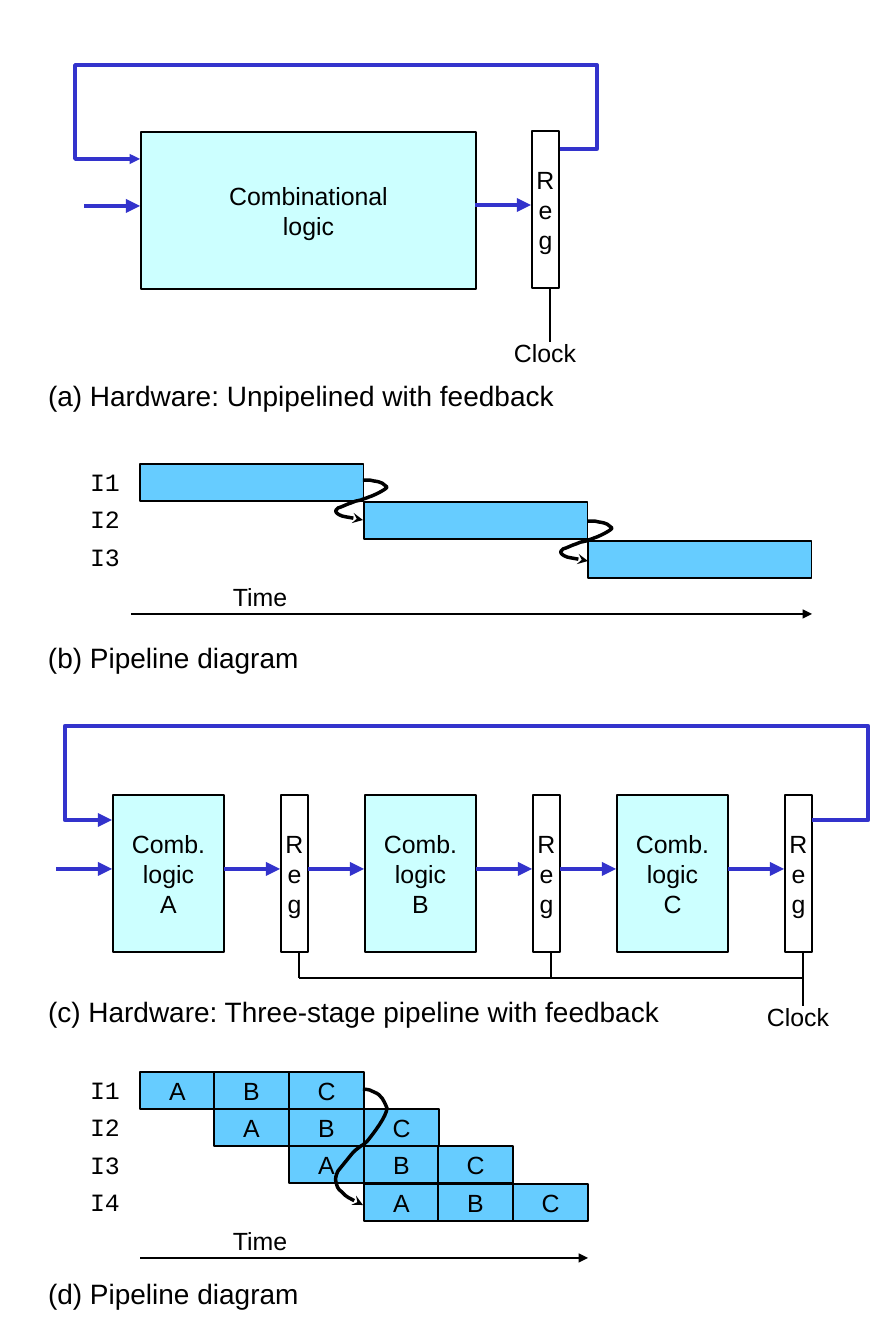
"""Draw unpipelined and three-stage pipelined hardware with feedback."""
from lxml import etree
from pptx import Presentation, util as u
from pptx.dml.color import RGBColor
from pptx.enum import shapes, text
from pptx.oxml.ns import qn

PX = u.Inches(1) / 112
BLACK, WHITE, BLUE = "000000", "FFFFFF", "3333CC"
LOGIC, BAR = "CCFFFF", "66CCFF"
HOOK = [(0, 0), (9, 1), (6, 1), (11, 3), (19, 6), (21, 12), (24, 19),
        (24, 27), (10, 45), (6, 50), (4, 53), (0, 56), (-2, 57),
        (-6, 60), (-9, 62), (-12, 66), (-16, 71), (-21, 77), (-25, 82),
        (-27, 86), (-28, 90), (-27, 93), (-26, 96), (-26, 100), (-21, 103),
        (-17, 108), (-4, 114), (0, 116)]
rgb = RGBColor.from_string

prs = Presentation()
prs.slide_width, prs.slide_height = u.Inches(8), u.Inches(12)
slide = prs.slides.add_slide(prs.slide_layouts[6])


def box(x, y, w, h, words="", fill=None, edge=0, align="CENTER", size=16, face="Arial"):
    """Add a filled rectangle, or a text box when there is no fill."""
    place = [round(v * PX) for v in (x, y, w, h)]
    if fill:
        s = slide.shapes.add_shape(shapes.MSO_SHAPE.RECTANGLE, *place)
        s.shadow.inherit = False
        s.fill.solid()
        s.fill.fore_color.rgb = rgb(fill)
        if edge:
            s.line.color.rgb = rgb(BLACK)
            s.line.width = u.Pt(edge)
        else:
            s.line.fill.background()
    else:
        s = slide.shapes.add_textbox(*place)
    tf = s.text_frame
    tf.word_wrap = False
    tf.vertical_anchor = text.MSO_ANCHOR.MIDDLE if fill else text.MSO_ANCHOR.TOP
    tf.text = words
    for p in tf.paragraphs:
        p.alignment = text.PP_ALIGN[align]
        for r in p.runs:
            for key, value in {"size": u.Pt(size), "name": face}.items():
                setattr(r.font, key, value)
            r.font.color.rgb = rgb(BLACK)


def line(points, color=BLACK, width=1, tail=None, curved=False):
    """Add a connector through two points, or an open outline through more."""
    if len(points) == 2:
        ends = [round(v * PX) for point in points for v in point]
        s = slide.shapes.add_connector(shapes.MSO_CONNECTOR.STRAIGHT, *ends)
    else:
        builder = slide.shapes.build_freeform(*points[0], scale=PX)
        builder.add_line_segments(points[1:], close=False)
        s = builder.convert_to_shape()
        s.fill.background()
    s.line.color.rgb = rgb(color)
    s.line.width = u.Pt(width)
    props = s._element.spPr
    if tail:
        etree.SubElement(props.find(qn("a:ln")), qn("a:tailEnd"), type=tail)
    etree.SubElement(props, qn("a:effectLst"))
    if curved:
        outline = next(props.iter(qn("a:path")))
        for i, step in enumerate(outline.findall(qn("a:lnTo"))):
            if i % 3 == 0:
                curve = etree.SubElement(outline, qn("a:cubicBezTo"))
            curve.append(step[0])
            outline.remove(step)


for y, width, caption in [(373, 541, "(a) Hardware: Unpipelined with feedback"),
                          (635, 283, "(b) Pipeline diagram"),
                          (989, 647, "(c) Hardware: Three-stage pipeline with feedback"),
                          (1271, 276, "(d) Pipeline diagram")]:
    box(37, y, width, 45, caption, align="LEFT", size=18)

for x, y in [(485, 332), (738, 996)]:
    box(x, y, 120, 40, "Clock")

for top, count in [(463, 3), (1071, 4)]:
    for i in range(count):
        box(28, top + 75 * i // 2, 103, 37, f"I{i + 1}", WHITE,
            align="RIGHT", face="Courier New")

for left, right, y in [(131, 812, 614), (140, 588, 1258)]:
    box(222, y - 38, 100, 40, "Time", align="LEFT")
    line([(left, y), (right, y)], tail="triangle")

box(141, 132, 335, 157, "Combinational\nlogic", LOGIC, 1)
box(532, 131, 27, 157, "R\ne\ng", WHITE, 1)
line([(84, 206), (140, 206)], BLUE, 3, "triangle")
line([(475, 205), (531, 205)], BLUE, 3, "triangle")
line([(550, 289), (550, 342)])
line([(560, 149), (597, 149), (597, 65), (75, 65), (75, 159), (140, 159)],
     BLUE, 2.25, "triangle")

for i in range(3):
    box(140 + 224 * i, 464 + 77 * i // 2, 224, 37, fill=BAR, edge=0.75)

for i, stage in enumerate("ABC"):
    x = 252 * i
    box(x + 113, 795, 111, 157, f"Comb.\nlogic\n{stage}", LOGIC, 1)
    box(x + 281, 795, 27, 157, "R\ne\ng", WHITE, 1)
    for start in (56, 224):
        line([(x + start, 869), (x + start + 56, 869)], BLUE, 3, "triangle")
    line([(x + 299, 953), (x + 299, 1006 if stage == "C" else 978)])
line([(299, 978), (803, 978)])
line([(812, 820), (868, 820), (868, 726), (65, 726), (65, 820), (112, 820)],
     BLUE, 3, "triangle")

for row in range(4):
    for col, stage in enumerate("ABC"):
        box(140 + 224 * (row + col) // 3, 1072 + 112 * row // 3, 75, 37,
            stage, BAR, 0.75)

for x, y, height in [(363, 480, 40), (588, 521, 40), (363, 1089, 116)]:
    line([(x + dx, y + round(dy * height / 116)) for dx, dy in HOOK],
         width=2.25, tail="stealth", curved=True)

prs.save("out.pptx")
